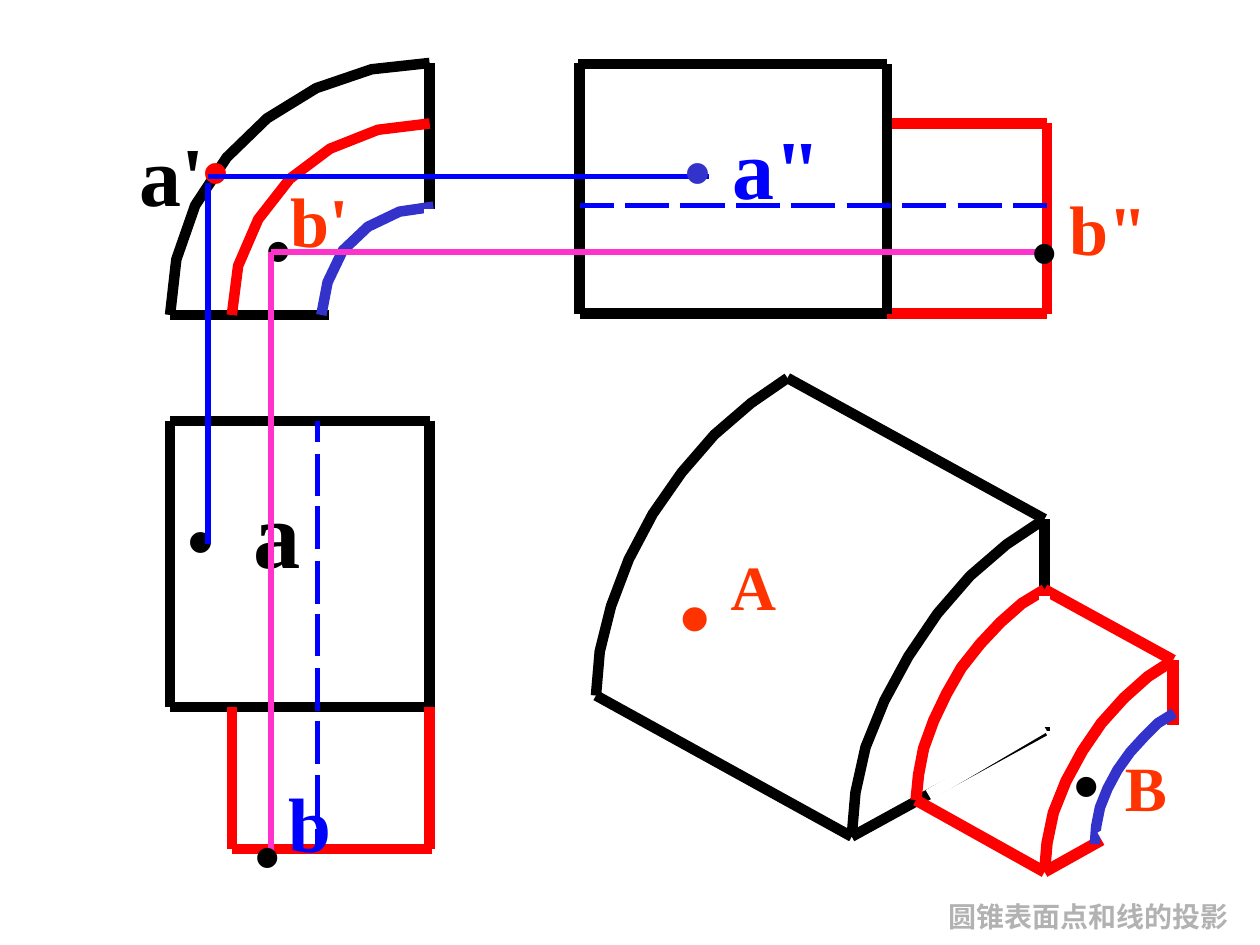
import pptx
import pptx.dml.color
import pptx.enum.shapes
import pptx.enum.text
import pptx.oxml.ns
import pptx.util
from lxml import etree

PX = 9144  # EMU per px, 100 px to the inch


class Theme:
    black, white, red = "000000", "FFFFFF", "FF0000"
    blue, indigo, pink = "0000FF", "3333CC", "FF33CC"
    orange, grey = "FF3300", "B2B2B2"
    thin, edge, thick, mask, wide_mask = 3, 6, 6.5, 7.75, 8.5
    caption, solid_name, view_name, dot = 16, 36, 40, 44
    front_name, big_dot, top_name = 48, 48, 54
    symbol_font, text_font = "Arial", "Times New Roman"


deck = pptx.Presentation()
deck.slide_width, deck.slide_height = 1000 * PX, 750 * PX
slide = deck.slides.add_slide(deck.slide_layouts[6])
shapes = slide.shapes


def stroke(color, width, *points):
    """Draw a connector through two points, or an open outline through more."""
    if len(points) == 2:
        path = shapes.add_connector(
            pptx.enum.shapes.MSO_CONNECTOR.STRAIGHT,
            *(value * PX for point in points for value in point))
    else:
        builder = shapes.build_freeform(*points[0], scale=PX)
        builder.add_line_segments(points[1:], close=False)
        path = builder.convert_to_shape()
        path.fill.background()
        path.shadow.inherit = False
    path.line.color.rgb = pptx.dml.color.RGBColor.from_string(color)
    path.line.width = pptx.util.Pt(width)
    if len(points) == 2:
        etree.SubElement(path._element.spPr, pptx.oxml.ns.qn("a:effectLst"))


def label(box, *runs, wrap=False):
    """Add centred text; each run is (text, size, color, font, bold)."""
    frame = shapes.add_textbox(*(value * PX for value in box)).text_frame
    frame.word_wrap = wrap
    frame.auto_size = pptx.enum.text.MSO_AUTO_SIZE.SHAPE_TO_FIT_TEXT
    paragraph = frame.paragraphs[0]
    paragraph.alignment = pptx.enum.text.PP_ALIGN.CENTER
    for text, size, color, font_name, bold in runs:
        run = paragraph.add_run()
        run.text = text
        font = paragraph.font if len(runs) == 1 else run.font
        font.name, font.size, font.bold = font_name, pptx.util.Pt(size), bold
        font.color.rgb = pptx.dml.color.RGBColor.from_string(color)
    return paragraph


# Pictorial view: large cone segment
for edge in (
    [(829, 412), (829, 580)],
    [(676, 664), (829, 580)],
    [(829, 412), (799, 432), (770, 457), (744, 487), (721, 521),
     (702, 556), (687, 593), (679, 629), (676, 664)],
    [(676, 664), (473, 552)],
    [(829, 412), (625, 300)],
    [(625, 300), (596, 320), (567, 345), (541, 375), (518, 408),
     (499, 444), (485, 481), (476, 517), (473, 552)],
):
    stroke(Theme.black, Theme.edge, *edge)

# Pictorial view: small segment, with its hidden edges masked
for edge in (
    [(931, 524), (931, 635)],
    [(829, 692), (727, 635)],
    [(931, 524), (829, 468)],
    [(931, 524), (911, 537), (892, 554), (874, 574), (859, 596),
     (846, 620), (836, 645), (831, 669), (829, 692)],
    [(829, 468), (811, 479), (794, 494), (778, 511), (763, 530), (751, 551),
     (741, 572), (733, 594), (729, 615), (727, 635)],
    [(829, 692), (931, 635)],
):
    stroke(Theme.red, Theme.thick, *edge)
stroke(Theme.white, Theme.thick, (829, 473), (829, 577))
stroke(Theme.white, Theme.thick, (829, 577), (737, 631))
stroke(Theme.indigo, Theme.edge, (932, 566), (919, 574), (908, 585), (897, 597),
       (887, 611), (879, 626), (873, 641), (870, 656), (869, 670))
stroke(Theme.white, Theme.wide_mask, (931, 575), (931, 642))
stroke(Theme.white, Theme.wide_mask, (874, 666), (934, 632))

# Front view, then the large part of the top view
for edge in (
    [(135, 250), (341, 250)],
    [(341, 50), (295, 55), (251, 70), (212, 94), (180, 125),
     (155, 163), (140, 206), (135, 250)],
    [(341, 50), (341, 250)],
    [(135, 334), (135, 561)],
    [(135, 334), (341, 334)],
    [(343, 561), (135, 561)],
    [(341, 334), (341, 561)],
):
    stroke(Theme.black, Theme.edge, *edge)

# Small parts: front arc, top view, side view
for edge in (
    [(341, 98), (300, 103), (262, 118), (230, 142), (205, 174),
     (189, 211), (184, 250)],
    [(184, 561), (184, 674)],
    [(184, 674), (343, 674)],
    [(341, 561), (341, 674)],
    [(831, 98), (831, 249)],
    [(831, 249), (704, 249)],
    [(704, 98), (831, 98)],
):
    stroke(Theme.red, Theme.edge, *edge)

# Side view: large part
for edge in (
    [(460, 50), (460, 249)],
    [(460, 249), (704, 249)],
    [(704, 249), (704, 51)],
    [(704, 51), (459, 51)],
):
    stroke(Theme.black, Theme.edge, *edge)

# Hidden lines: evenly spaced dashes, clipped at both ends
for step in range(-1, 8):
    top = 360 + 298 * step // 7
    stroke(Theme.blue, Theme.thin,
           (252, max(top, 334)), (252, min(top + 34, 675)))
    left = 496 + 44 * step
    stroke(Theme.blue, Theme.thin,
           (max(left, 460), 163), (min(left + 35, 831), 163))

# Front view: inner arc and the masked corner
stroke(Theme.indigo, Theme.edge, (344, 164), (317, 168), (292, 180),
       (272, 199), (260, 224), (255, 250))
stroke(Theme.white, Theme.mask, (342, 166), (342, 251))
stroke(Theme.white, Theme.mask, (261, 251), (342, 251))

# Point A and its projections
top_a = label((138, 371, 112, 100),
              ("• ", Theme.dot, Theme.black, Theme.symbol_font, False),
              ("a", Theme.top_name, Theme.black, Theme.text_font, True))
top_a.runs[0]._r.get_or_add_rPr().set("spc", "500")
stroke(Theme.blue, Theme.thin, (165, 432), (165, 145))
label((149, 92, 45, 84), ("•", Theme.dot, Theme.red, Theme.symbol_font, False))
label((101, 92, 72, 90), ("a'", Theme.front_name, Theme.black, Theme.text_font, True))
stroke(Theme.blue, Theme.thin, (165, 140), (563, 140))
label((532, 87, 131, 90),
      ("• ", Theme.dot, Theme.indigo, Theme.symbol_font, False),
      ('a"', Theme.front_name, Theme.blue, Theme.text_font, True))
label((523, 442, 58, 90), ("•", Theme.big_dot, Theme.orange, Theme.symbol_font, True))
label((570, 430, 56, 70), ("A", Theme.solid_name, Theme.orange, Theme.text_font, True))

# Point B and its projections
b_dot = ("•", Theme.view_name, Theme.black, Theme.symbol_font, True)
label((200, 158, 43, 77), b_dot)
label((221, 136, 66, 77), ("b'", Theme.view_name, Theme.orange, Theme.text_font, True))
label((841, 583, 43, 77), b_dot)
label((883, 589, 53, 70), ("B", Theme.solid_name, Theme.orange, Theme.text_font, True))
stroke(Theme.pink, Theme.thin, (215, 200), (215, 675))
label((191, 639, 43, 77), b_dot)
label((219, 611, 54, 84), ("b", Theme.dot, Theme.blue, Theme.text_font, True))
stroke(Theme.pink, Theme.thin, (215, 200), (831, 200))
label((808, 160, 43, 77), b_dot)
label((837, 142, 86, 77), ('b"', Theme.view_name, Theme.orange, Theme.text_font, True))

label((734, 709, 260, 37),
      ("圆锥表面点和线的投影", Theme.caption, Theme.grey, Theme.text_font, True), wrap=True)

deck.save("out.pptx")
